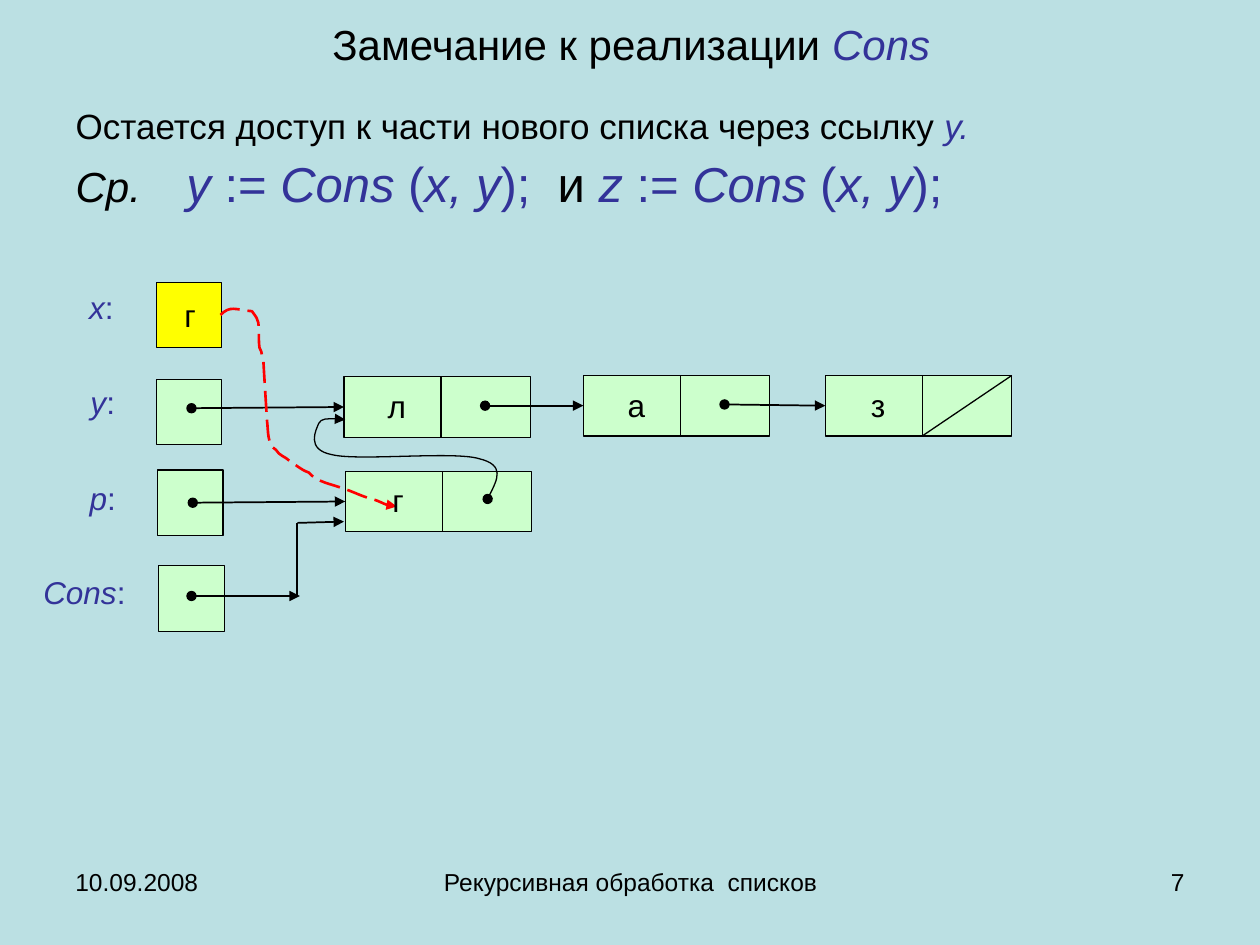
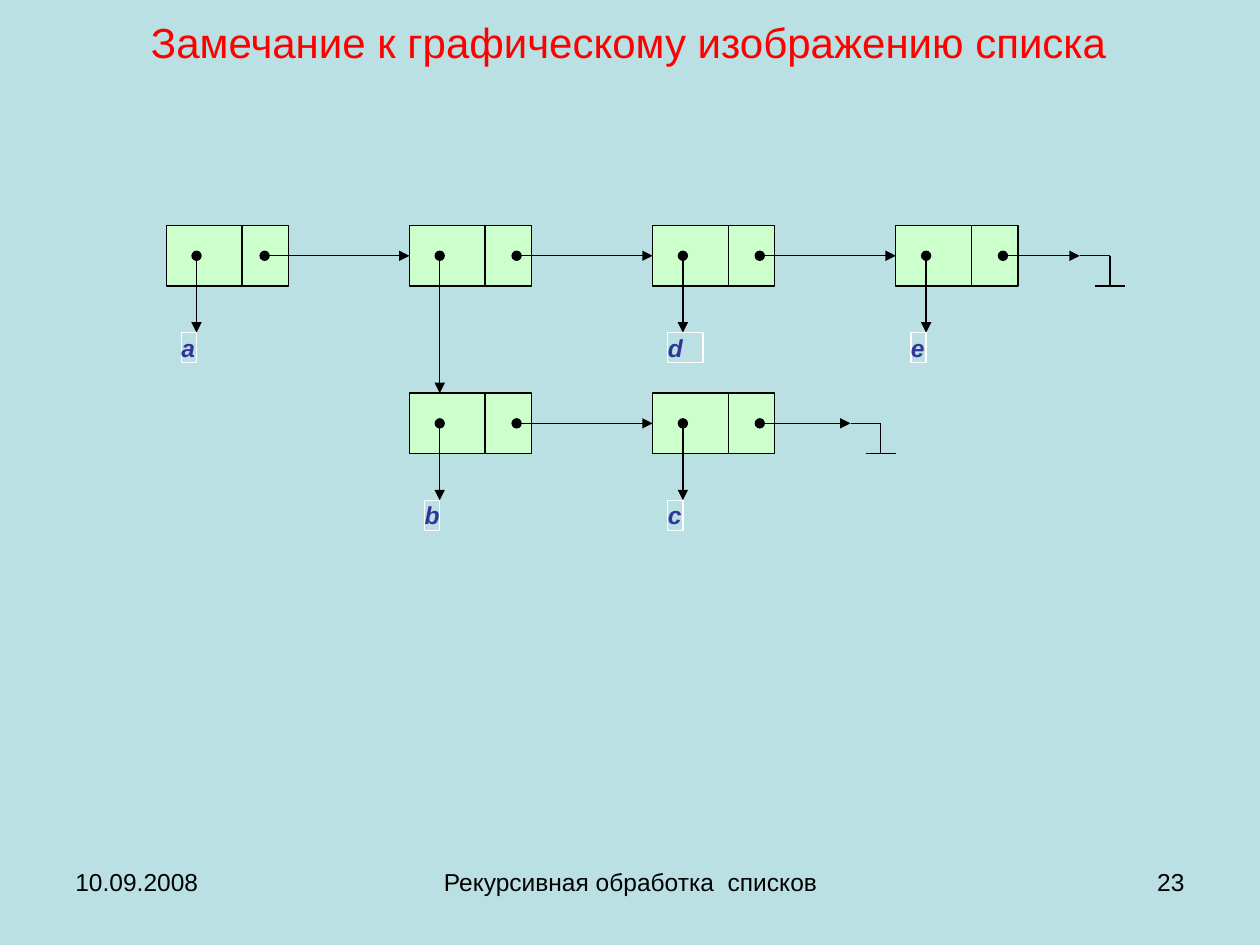
from collections import namedtuple
from dataclasses import dataclass

import pptx
import pptx.dml.color
import pptx.enum.dml
import pptx.enum.shapes
import pptx.enum.text
import pptx.oxml
import pptx.oxml.ns
import pptx.util
from lxml import etree

EMU_PER_PX = 9144  # 100 px to the inch
ALIGN = pptx.enum.text.PP_ALIGN
ANCHOR = pptx.enum.text.MSO_ANCHOR
TOP, LEFT = 0, 1  # connection sites of a rectangle

Box = namedtuple("Box", "left top width height")


@dataclass(frozen=True)
class Theme:
    font: str = "Arial"
    background: str = "BBE0E3"
    ink: str = "000000"
    code: str = "333399"
    accent: str = "FF0000"
    cell: str = "CCFFCC"
    highlight: str = "FFFF00"
    label_border: str = "FFFFFF"
    title_size: int = 24
    body_size: int = 20
    formula_size: int = 28
    diagram_size: int = 18
    small_size: int = 14
    thin: float = 0.75
    medium: float = 1
    thick: float = 1.5


THEME = Theme()
FOOTER_TEXT = "Рекурсивная обработка  списков"
FOOTER_DATE = "10.09.2008"


# Basic helpers
def px(value):
    return pptx.util.Emu(value * EMU_PER_PX)


def rgb(color):
    return pptx.dml.color.RGBColor.from_string(color)


def offset(box, left, top, width=0, height=0):
    return Box(box.left + left, box.top + top, width, height)


def place(shape, box):
    shape.left, shape.top, shape.width, shape.height = map(px, box)


def add_child(parent, name, **attributes):
    return etree.SubElement(parent, pptx.oxml.ns.qn(name), attributes)


def format_font(font, size=None, color=None, italic=None, bold=None):
    if size is not None:
        font.size = pptx.util.Pt(size)
    if color is not None:
        font.color.rgb = rgb(color)
    if italic is not None:
        font.italic = italic
    if bold is not None:
        font.bold = bold


def fill_paragraph(paragraph, runs, align=ALIGN.LEFT, **font_options):
    """Each run is a text, or a pair of a text and its differing font options."""
    paragraph.alignment = align
    paragraph.font.name = THEME.font
    format_font(paragraph.font, **font_options)
    for item in runs:
        text, options = (item, {}) if isinstance(item, str) else item
        run = paragraph.add_run()
        run.text = text
        format_font(run.font, **options)


def set_frame(frame, inset=(10, 5), anchor=ANCHOR.TOP):
    frame.word_wrap = True
    frame.auto_size = pptx.enum.text.MSO_AUTO_SIZE.NONE
    frame.vertical_anchor = anchor
    frame.margin_left = frame.margin_right = px(inset[0])
    frame.margin_top = frame.margin_bottom = px(inset[1])


def add_text(slide, box, runs, inset=(10, 5), **options):
    shape = slide.shapes.add_textbox(*map(px, box))
    set_frame(shape.text_frame, inset)
    fill_paragraph(shape.text_frame.paragraphs[0], runs, **options)


def add_rectangle(slide, box, fill=THEME.cell, border=THEME.ink, width=THEME.thin):
    shape = slide.shapes.add_shape(
        pptx.enum.shapes.MSO_SHAPE.RECTANGLE, *map(px, box))
    shape.shadow.inherit = False
    shape.fill.solid()
    shape.fill.fore_color.rgb = rgb(fill)
    style_line(shape, border, width)
    return shape


def style_line(shape, color, width, head=None, tail=None, dash=None):
    shape.line.color.rgb = rgb(color)
    shape.line.width = pptx.util.Pt(width)
    if dash is not None:
        shape.line.dash_style = dash
    line = shape._element.spPr.get_or_add_ln()
    for end, kind in (("a:headEnd", head), ("a:tailEnd", tail)):
        if kind:
            add_child(line, end, type=kind)


def add_line(slide, start, end, width=THEME.thin, head=None, tail=None, target=None):
    """Target is a rectangle and its connection site, where the line is joined."""
    connector = slide.shapes.add_connector(
        pptx.enum.shapes.MSO_CONNECTOR.STRAIGHT, *map(px, (*start[:2], *end[:2])))
    if target:
        connector.end_connect(*target)
    style_line(connector, THEME.ink, width, head, tail)
    add_child(connector._element.spPr, "a:effectLst")


def add_link(slide, start, end, width=THEME.thin, target=None):
    add_line(slide, start, end, width, "oval", "triangle", target)


def add_curve(slide, box, points, color, width, **line_options):
    """Draws cubic curves: a start point, then three control points for each."""
    start, *controls = [tuple(map(px, offset(box, *point)[:2])) for point in points]
    builder = slide.shapes.build_freeform(*start, scale=1.0)
    builder.add_line_segments(controls, close=False)
    shape = builder.convert_to_shape()
    outline = shape._element.spPr.find(".//" + pptx.oxml.ns.qn("a:path"))
    segments = outline.findall(pptx.oxml.ns.qn("a:lnTo"))
    for index in range(0, len(segments), 3):
        curve = add_child(outline, "a:cubicBezTo")
        for segment in segments[index:index + 3]:
            curve.append(segment[0])
            outline.remove(segment)
    shape.shadow.inherit = False
    shape.fill.background()
    style_line(shape, color, width, **line_options)


# Parts shared by the slides
def add_title(slide, box, runs, color=THEME.ink):
    title = slide.shapes.title
    place(title, box)
    set_frame(title.text_frame, anchor=ANCHOR.MIDDLE)
    fill_paragraph(title.text_frame.paragraphs[0], runs, ALIGN.CENTER,
                   size=THEME.title_size, color=color)


def add_footer(slide, box, number):
    parts = [(0, 233, FOOTER_DATE, ALIGN.LEFT),
             (292, 317, FOOTER_TEXT, ALIGN.CENTER),
             (667, 233, number, ALIGN.RIGHT)]
    for left, width, text, align in parts:
        add_text(slide, offset(box, left, 0, width, box.height), [text],
                 align=align, size=THEME.small_size, color=THEME.ink)


def add_node(slide, box, divider):
    node = add_rectangle(slide, box)
    add_line(slide, offset(box, divider, 0), offset(box, divider, box.height))
    return node


# Slide about Cons
def add_cons_text(slide, box):
    body = slide.placeholders[1]
    place(body, box)
    frame = body.text_frame
    set_frame(frame)
    upright, name = {"italic": False}, {"italic": True}
    call = [(":= ", upright), "Cons", (" (", upright), "x, y"]
    lines = [
        (["Остается доступ к части нового списка через ссылку ",
          ("y.", {"color": THEME.code, **name})],
         {"size": THEME.body_size, "color": THEME.ink}),
        ([("Ср.", {"size": THEME.title_size, "color": THEME.ink}),
          (" \t", {"size": THEME.body_size}),
          "y ", *call, (");  ", upright),
          ("и ", {"color": THEME.ink, **upright}),
          "z ", *call, (");", upright)],
         {"size": THEME.formula_size, "color": THEME.code, **name}),
    ]
    for index, (runs, options) in enumerate(lines):
        paragraph = frame.add_paragraph() if index else frame.paragraphs[0]
        properties = paragraph._p.get_or_add_pPr()
        properties.set("marL", str(px(38)))
        properties.set("indent", str(px(-38)))
        add_child(properties, "a:buNone")
        add_child(add_child(properties, "a:tabLst"), "a:tab", pos=str(px(100)), algn="l")
        paragraph.line_spacing = 0.9
        paragraph.space_before = pptx.util.Pt(7 * index)
        fill_paragraph(paragraph, runs, **options)


def add_cons_diagram(slide, box):
    # Variables: label position and width, then square position
    variables = [("x", (28, 0), 65, (104, 0), THEME.highlight),
                 ("y", (29, 75), 65, (104, 77), THEME.cell),
                 ("p", (29, 151), 65, (105, 149), THEME.cell),
                 ("Cons", (0, 226), 94, (106, 225), THEME.cell)]
    for name, label, width, square, fill in variables:
        add_rectangle(slide, offset(box, *square, 52, 52), fill)
        add_text(slide, offset(box, *label, width, 40),
                 [(name, {"italic": True}), ":"], align=ALIGN.CENTER,
                 size=THEME.diagram_size, color=THEME.code)

    # List nodes
    node_boxes = [offset(box, left, top, 148, 48)
                  for left, top in ((253, 75), (443, 74), (635, 74), (254, 150))]
    nodes = [add_node(slide, node_box, 77) for node_box in node_boxes]
    last = node_boxes[2]
    add_line(slide, offset(last, 148, 0), offset(last, 77, 48))

    # Links that end at a node
    starts = [offset(box, 132, 100), offset(node_boxes[0], 112, 23),
              offset(node_boxes[1], 112, 23), offset(box, 133, 175)]
    for start, node, node_box in zip(starts, nodes, node_boxes):
        add_link(slide, start, offset(node_box, 0, 24), THEME.medium, (node, LEFT))

    # Result of Cons
    add_link(slide, offset(box, 132, 249), offset(box, 218, 249), THEME.medium)
    add_line(slide, offset(box, 216, 250), offset(box, 216, 191), THEME.medium)
    add_line(slide, offset(box, 216, 191), offset(box, 253, 190), THEME.medium,
             tail="triangle")

    # Link to the old list and copying of the value
    add_curve(slide, box, [
        (367, 172), (374, 158), (381, 145), (360, 140), (340, 134), (265, 142),
        (244, 137), (222, 133), (231, 117), (233, 112), (235, 108), (244, 108),
        (254, 109)], THEME.ink, THEME.thin, head="oval", tail="triangle")
    add_curve(slide, box, [
        (155, 26), (163, 18), (167, 22), (180, 23), (185, 30), (183, 27), (185, 32),
        (186, 39), (185, 45), (186, 52), (187, 54), (188, 56), (188, 58),
        (189, 59), (189, 61), (189, 61), (190, 79), (191, 94), (192, 110),
        (193, 118), (192, 129), (199, 133), (202, 138), (206, 138), (210, 142),
        (215, 145), (219, 149), (225, 151), (232, 159), (243, 160), (253, 164),
        (260, 166), (267, 170), (275, 172), (282, 174), (287, 178), (295, 178)],
        THEME.accent, THEME.thick, tail="triangle",
        dash=pptx.enum.dml.MSO_LINE.LONG_DASH)

    # Values
    values = [offset(box, 121, 10, 20, 32)]
    values += [offset(node_box, 32, 7, 20, 32) for node_box in node_boxes]
    for letter, value_box in zip("глазг", values):
        add_text(slide, value_box, [letter], inset=(2, 1), align=ALIGN.CENTER,
                 size=THEME.diagram_size, color=THEME.ink)


# Slide about drawing lists
def add_atom(slide, box, letter):
    shape = add_rectangle(slide, box, THEME.background, THEME.label_border, 0)
    set_frame(shape.text_frame, inset=(0, 0))
    fill_paragraph(shape.text_frame.paragraphs[0], [letter], size=THEME.small_size,
                   color=THEME.code, bold=True, italic=True)


def add_list_end(slide, start):
    corner, foot = offset(start, 24, 0), offset(start, 24, 24)
    add_line(slide, start, corner)
    add_line(slide, corner, foot)
    add_line(slide, offset(foot, -12, 0), offset(foot, 12, 0))


def add_list_diagram(slide, box):
    column_step, row_step = 193, 133
    # Rows: first column, atoms (None for a sublist), left edge of the end sign
    rows = [(0, ["a", None, "d", "e"], 725), (1, ["b", "c"], 543)]
    for row, (first, atoms, end_left) in enumerate(rows):
        cells = [offset(box, (first + column) * column_step, row * row_step, 97, 48)
                 for column in range(len(atoms))]
        nodes = [add_node(slide, cell, 60) for cell in cells]
        list_end = offset(box, end_left, row * row_step + 24)
        for index, (cell, atom) in enumerate(zip(cells, atoms)):
            link = offset(cell, 78 if atom == "a" else 85, 24)
            if index + 1 < len(cells):
                add_link(slide, link, offset(cells[index + 1], 0, 24),
                         target=(nodes[index + 1], LEFT))
            else:
                add_link(slide, link, list_end)
            add_link(slide, offset(cell, 24, 24),
                     offset(cell, 24, 85 if atom else row_step))
            if atom:
                add_atom(slide, offset(cell, 12, 85, 28 if atom == "d" else 12, 24), atom)
        add_list_end(slide, list_end)


def main():
    presentation = pptx.Presentation()
    presentation.slide_width, presentation.slide_height = px(1000), px(750)
    background = presentation.slide_master.background.fill
    background.solid()
    background.fore_color.rgb = rgb(THEME.background)
    footer_box = Box(50, 683, 900, 52)

    slide = presentation.slides.add_slide(presentation.slide_layouts[1])
    add_title(slide, Box(51, 0, 900, 70),
              ["Замечание к реализации ", ("Cons", {"color": THEME.code, "italic": True})])
    add_cons_text(slide, Box(50, 82, 900, 92))
    add_cons_diagram(slide, Box(20, 224, 783, 277))
    add_footer(slide, footer_box, "7")

    slide = presentation.slides.add_slide(presentation.slide_layouts[5])
    add_title(slide, Box(49, 16, 900, 35),
              ["Замечание к графическому изображению списка"], THEME.accent)
    add_list_diagram(slide, Box(132, 179, 761, 242))
    add_footer(slide, footer_box, "23")

    presentation.save("out.pptx")


if __name__ == "__main__":
    main()
